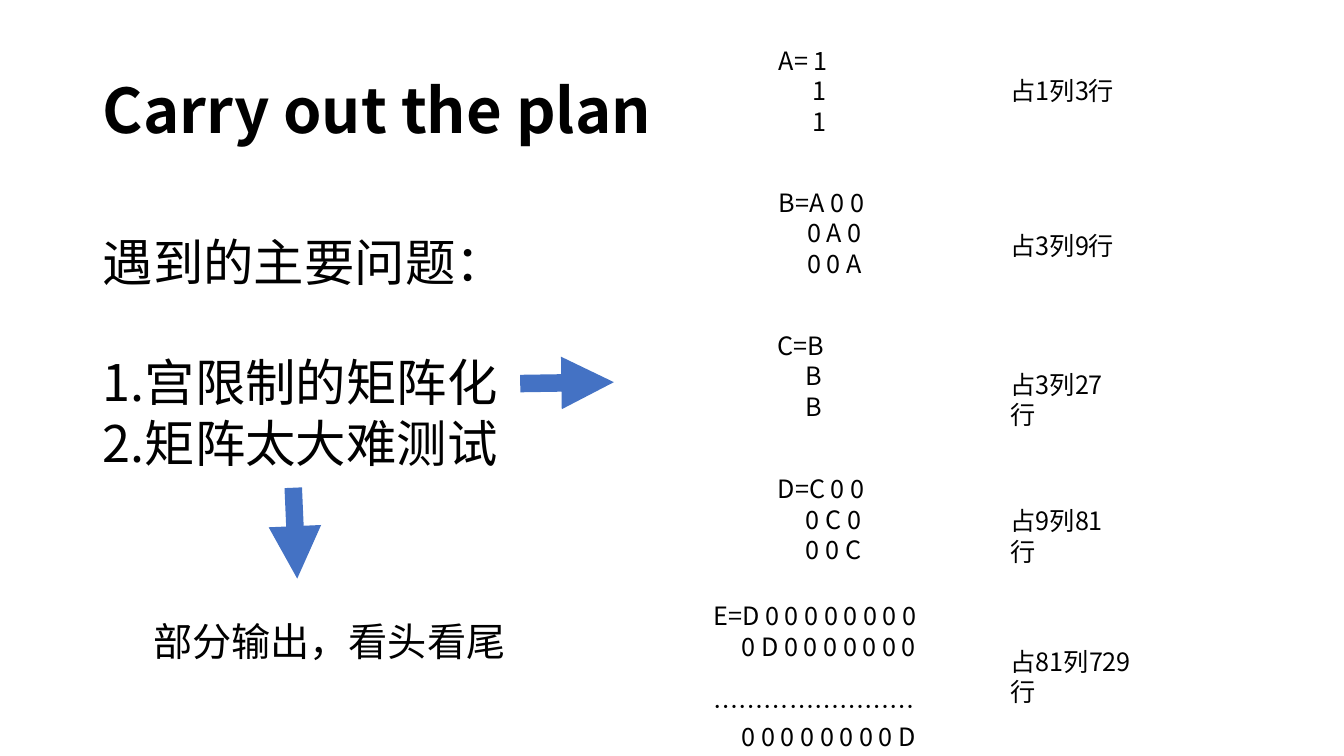
from dataclasses import dataclass

from lxml.etree import SubElement
from pptx import Presentation
from pptx.dml.color import RGBColor
from pptx.enum.shapes import MSO_CONNECTOR
from pptx.enum.text import MSO_ANCHOR
from pptx.oxml.ns import qn
from pptx.shapes.autoshape import Shape
from pptx.shapes.connector import Connector
from pptx.slide import Slide
from pptx.util import Cm, Pt


@dataclass(frozen=True)
class Theme:
    font: str = "Noto Sans CJK SC"
    text: RGBColor = RGBColor(0x00, 0x00, 0x00)
    arrow: RGBColor = RGBColor(0x44, 0x72, 0xC4)
    title_size: float = 44
    problem_size: float = 36
    output_size: float = 28
    matrix_size: float = 18
    arrow_width: float = 12.5


@dataclass(frozen=True)
class Line:
    text: str
    indent: float = 0
    space_before: float = 0
    numbered: bool = False


@dataclass(frozen=True)
class TextBlock:
    left: float
    top: float
    width: float
    height: float
    size: float
    lines: tuple[Line, ...]
    bold: bool = False
    line_spacing: float = 1.0
    anchor: MSO_ANCHOR = MSO_ANCHOR.TOP


@dataclass(frozen=True)
class Arrow:
    start: tuple[float, float]
    end: tuple[float, float]


@dataclass(frozen=True)
class Matrix:
    left: float
    top: float
    width: float
    height: float
    lines: tuple[Line, ...]
    label: str
    label_top: float
    label_width: float


THEME = Theme()
ROW_INDENT = 0.71
LABEL_LEFT = 25.22
LABEL_HEIGHT = 1.02

TITLE = TextBlock(2.34, 1.02, 29.21, 3.68, THEME.title_size,
                  (Line("Carry out the plan"),), True, 0.9, MSO_ANCHOR.MIDDLE)
PROBLEMS = TextBlock(2.34, 5.69, 10.77, 7.95, THEME.problem_size, (
    Line("遇到的主要问题："),
    Line("宫限制的矩阵化", 0.97, 43, True),
    Line("矩阵太大难测试", 0.97, 0, True),
))
OUTPUT = TextBlock(3.61, 15.44, 9.5, 1.45, THEME.output_size,
                   (Line("部分输出，看头看尾"),))
MATRIX_ARROW = Arrow((13.11, 9.67), (15.47, 9.63))
OUTPUT_ARROW = Arrow((7.39, 12.29), (7.49, 14.58))
MATRICES = (
    Matrix(19.38, 1.02, 1.9, 2.57,
           (Line("A= 1"), Line("1", 0.85), Line("1", 0.85)),
           "占1列3行", 1.78, 3.12),
    Matrix(19.38, 4.6, 2.82, 2.57,
           (Line("B=A 0 0"), Line("0 A 0", ROW_INDENT), Line("0 0 A", ROW_INDENT)),
           "占3列9行", 5.69, 3.12),
    Matrix(19.35, 8.2, 1.73, 2.57,
           (Line("C=B"), Line("B", ROW_INDENT), Line("B", ROW_INDENT)),
           "占3列27行", 9.17, 3.45),
    Matrix(19.35, 11.81, 2.8, 2.57,
           (Line("D=C 0 0"), Line("0 C 0", ROW_INDENT), Line("0 0 C", ROW_INDENT)),
           "占9列81行", 12.62, 3.45),
    Matrix(17.73, 15.01, 6, 3.33,
           (Line("E=D 0 0 0 0 0 0 0 0"), Line("0 D 0 0 0 0 0 0 0", ROW_INDENT),
            Line("……………………", 0, 21.5), Line("0 0 0 0 0 0 0 0 D", ROW_INDENT)),
           "占81列729行", 16.15, 4.14),
)


def add_text(slide: Slide, block: TextBlock) -> Shape:
    """Add a text box with one paragraph for each line."""
    shape = slide.shapes.add_textbox(
        Cm(block.left), Cm(block.top), Cm(block.width), Cm(block.height))
    frame = shape.text_frame
    frame.word_wrap = True
    frame.vertical_anchor = block.anchor
    for index, line in enumerate(block.lines):
        paragraph = frame.add_paragraph() if index else frame.paragraphs[0]
        paragraph.text = line.text
        paragraph.line_spacing = block.line_spacing
        paragraph.space_before = Pt(line.space_before)
        font = paragraph.font
        font.name = THEME.font
        font.size = Pt(block.size)
        font.bold = block.bold
        font.color.rgb = THEME.text
        properties = paragraph._p.get_or_add_pPr()
        defaults = properties.find(qn("a:defRPr"))
        SubElement(defaults, qn("a:ea"), typeface=THEME.font)
        properties.set("marL", str(Cm(line.indent)))
        properties.set("indent", str(-Cm(line.indent) if line.numbered else 0))
        if line.numbered:
            number = SubElement(properties, qn("a:buAutoNum"), type="arabicPeriod")
            defaults.addprevious(number)
    return shape


def add_arrow(slide: Slide, arrow: Arrow) -> Connector:
    """Add a thick straight arrow without a shadow."""
    connector = slide.shapes.add_connector(
        MSO_CONNECTOR.STRAIGHT, *map(Cm, arrow.start + arrow.end))
    connector.line.color.rgb = THEME.arrow
    connector.line.width = Pt(THEME.arrow_width)
    SubElement(connector.line._get_or_add_ln(), qn("a:tailEnd"), type="triangle")
    SubElement(connector._element.spPr, qn("a:effectLst"))
    return connector


def add_matrix(slide: Slide, matrix: Matrix) -> None:
    """Add a matrix and the label that gives its dimensions."""
    add_text(slide, TextBlock(matrix.left, matrix.top, matrix.width, matrix.height,
                              THEME.matrix_size, matrix.lines))
    add_text(slide, TextBlock(LABEL_LEFT, matrix.label_top, matrix.label_width,
                              LABEL_HEIGHT, THEME.matrix_size, (Line(matrix.label),)))


def main() -> None:
    """Build and save the slide."""
    presentation = Presentation()
    presentation.slide_width = Cm(33.87)
    presentation.slide_height = Cm(19.05)
    slide = presentation.slides.add_slide(presentation.slide_layouts[6])
    add_text(slide, TITLE)
    problems = add_text(slide, PROBLEMS)
    add_arrow(slide, MATRIX_ARROW).begin_connect(problems, 3)
    for matrix in MATRICES:
        add_matrix(slide, matrix)
    add_arrow(slide, OUTPUT_ARROW)
    add_text(slide, OUTPUT)
    presentation.save("out.pptx")


if __name__ == "__main__":
    main()
